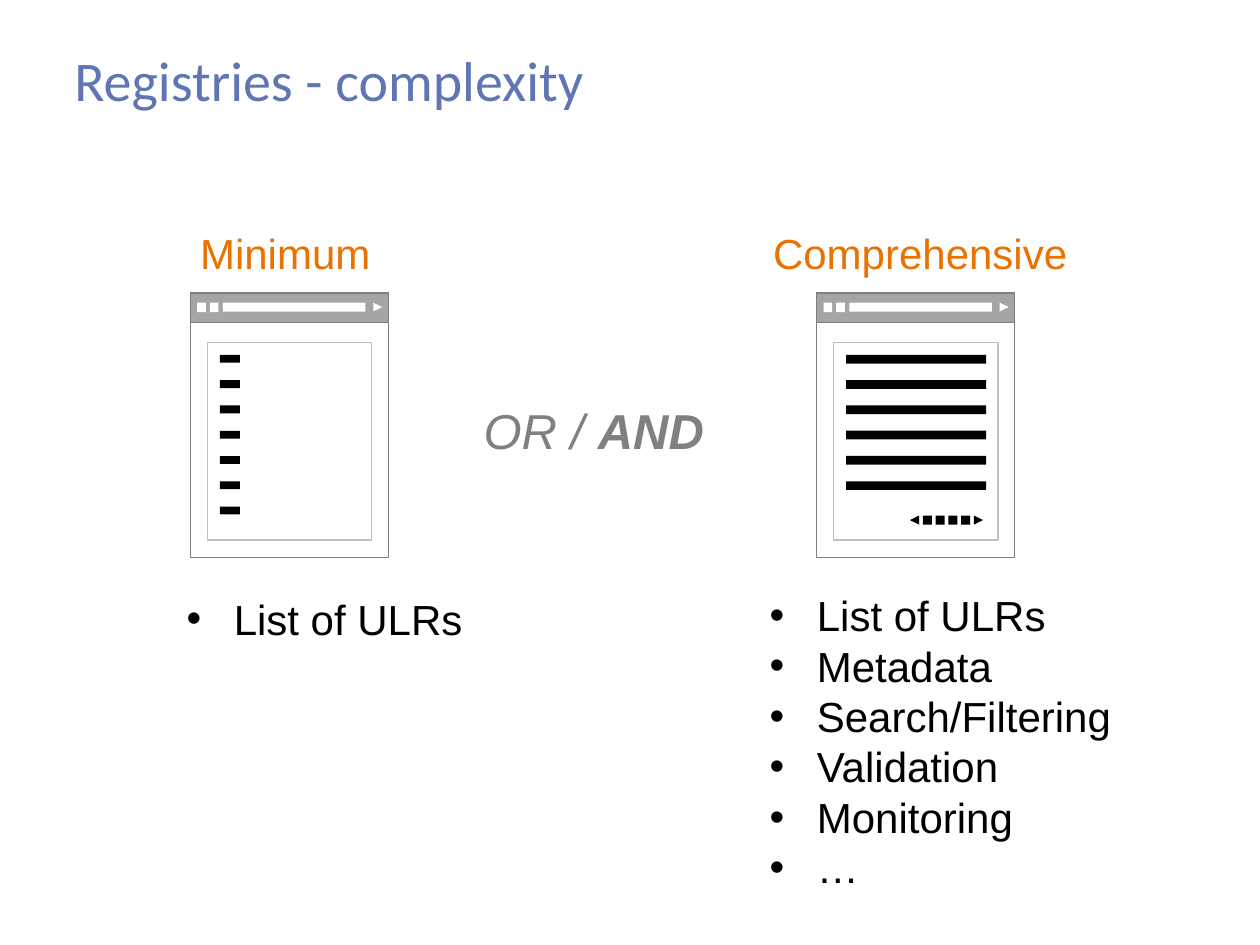
from lxml import etree
from pptx import Presentation
from pptx.dml.color import RGBColor
from pptx.enum.shapes import MSO_SHAPE as Shape
from pptx.enum.text import MSO_AUTO_SIZE as AutoSize, PP_ALIGN as Align
from pptx.oxml.ns import qn
from pptx.util import Pt

BLUE = RGBColor(0x60, 0x76, 0xB4)
ORANGE = RGBColor(0xE9, 0x72, 0x00)
BLACK = RGBColor(0, 0, 0)
WHITE = RGBColor(0xFF, 0xFF, 0xFF)
TEXT_GRAY = RGBColor(0x80, 0x80, 0x80)
FRAME_GRAY = RGBColor(0x7F, 0x7F, 0x7F)
BAR_GRAY = RGBColor(0xA5, 0xA5, 0xA5)
PAGE_GRAY = RGBColor(0xBF, 0xBF, 0xBF)

presentation = Presentation()
presentation.slide_width, presentation.slide_height = Pt(720), Pt(540)
slide = presentation.slides.add_slide(presentation.slide_layouts[6])


def add_block(shapes, left, top, width, height, fill, line=None,
              kind=Shape.RECTANGLE, rotation=0):
    shape = shapes.add_shape(kind, Pt(left), Pt(top), Pt(width), Pt(height))
    shape.shadow.inherit = False
    shape.rotation = rotation
    shape.fill.solid()
    shape.fill.fore_color.rgb = fill
    if line is None:
        shape.line.fill.background()
    else:
        shape.line.color.rgb = line
        shape.line.width = Pt(0.75)


def add_text(shapes, left, top, width, height, lines, size, color,
             font="Arial", align=Align.LEFT, bullets=False):
    box = shapes.add_textbox(Pt(left), Pt(top), Pt(width), Pt(height))
    frame = box.text_frame
    frame.word_wrap = False
    frame.auto_size = AutoSize.SHAPE_TO_FIT_TEXT
    frame.text = "\n".join(lines)
    for paragraph in frame.paragraphs:
        paragraph.alignment = align
        if bullets:
            properties = paragraph._p.get_or_add_pPr()
            properties.set("marL", str(Pt(27)))
            properties.set("indent", str(-Pt(27)))
            etree.SubElement(properties, qn("a:buFont")).set("typeface", "Arial")
            etree.SubElement(properties, qn("a:buChar")).set("char", "•")
        paragraph.font.name = font
        paragraph.font.size = Pt(size)
        paragraph.font.color.rgb = color
    return frame


# Title
title = add_text(slide.shapes, 42.5, 26, 642, 51, ["Registries - complexity"],
                 32, BLUE, font="Calibri")
title.auto_size = AutoSize.NONE
title.word_wrap = True
title.margin_left = title.margin_top = title.margin_right = title.margin_bottom = 0

# Browser windows: left, stripe count, width and height, heading and its box
top = 167.5
windows = [
    (108.7, 7, 11.5, 4.5, "Minimum", 106.5, 113),
    (466.6, 6, 80, 5, "Comprehensive", 433.5, 184.5),
]
for left, count, stripe_width, stripe_height, heading, text_left, text_width in windows:
    shapes = slide.shapes.add_group_shape().shapes
    add_block(shapes, left, top, 113.3, 151, WHITE, FRAME_GRAY)
    # Address bar with two buttons and an arrow
    add_block(shapes, left, top, 113.3, 16.7, BAR_GRAY, FRAME_GRAY)
    add_block(shapes, left + 18.7, top + 5.4, 81.5, 5.2, WHITE)
    add_block(shapes, left + 104.7, top + 5.4, 5, 5.2, WHITE,
              kind=Shape.ISOSCELES_TRIANGLE, rotation=90)
    for offset in (4, 11.2):
        add_block(shapes, left + offset, top + 5.4, 5, 5.5, WHITE)
    # Page with its entries
    add_block(shapes, left + 9.7, top + 28.2, 94, 113, WHITE, PAGE_GRAY)
    for row in range(count):
        add_block(shapes, left + 17, top + 35.3 + 14.45 * row,
                  stripe_width, stripe_height, BLACK)
    add_text(shapes, text_left, 126.7, text_width, 36, [heading], 24, ORANGE,
             align=Align.CENTER)

# Pager of the comprehensive registry
pager = [(Shape.ISOSCELES_TRIANGLE, 270)] + [(Shape.RECTANGLE, 0)] * 4
pager.append((Shape.ISOSCELES_TRIANGLE, 90))
for position, (kind, rotation) in enumerate(pager):
    add_block(shapes, 520 + 7.3 * position, 294.6, 5.2, 5.2, BLACK,
              kind=kind, rotation=rotation)

# Feature lists
add_text(slide.shapes, 99.5, 335.5, 173.5, 36, ["List of ULRs"], 24, BLACK,
         bullets=True)
add_text(slide.shapes, 432.7, 333.5, 211.7, 211,
         ["List of ULRs", "Metadata", "Search/Filtering", "Validation",
          "Monitoring", "…"], 24, BLACK, bullets=True)

# Choice between the two
choice = add_text(slide.shapes, 269.3, 225.5, 142, 41, ["OR / "], 28, TEXT_GRAY)
paragraph = choice.paragraphs[0]
paragraph.font.italic = True
run = paragraph.add_run()
run.text = "AND"
run.font.bold = True

presentation.save("out.pptx")
